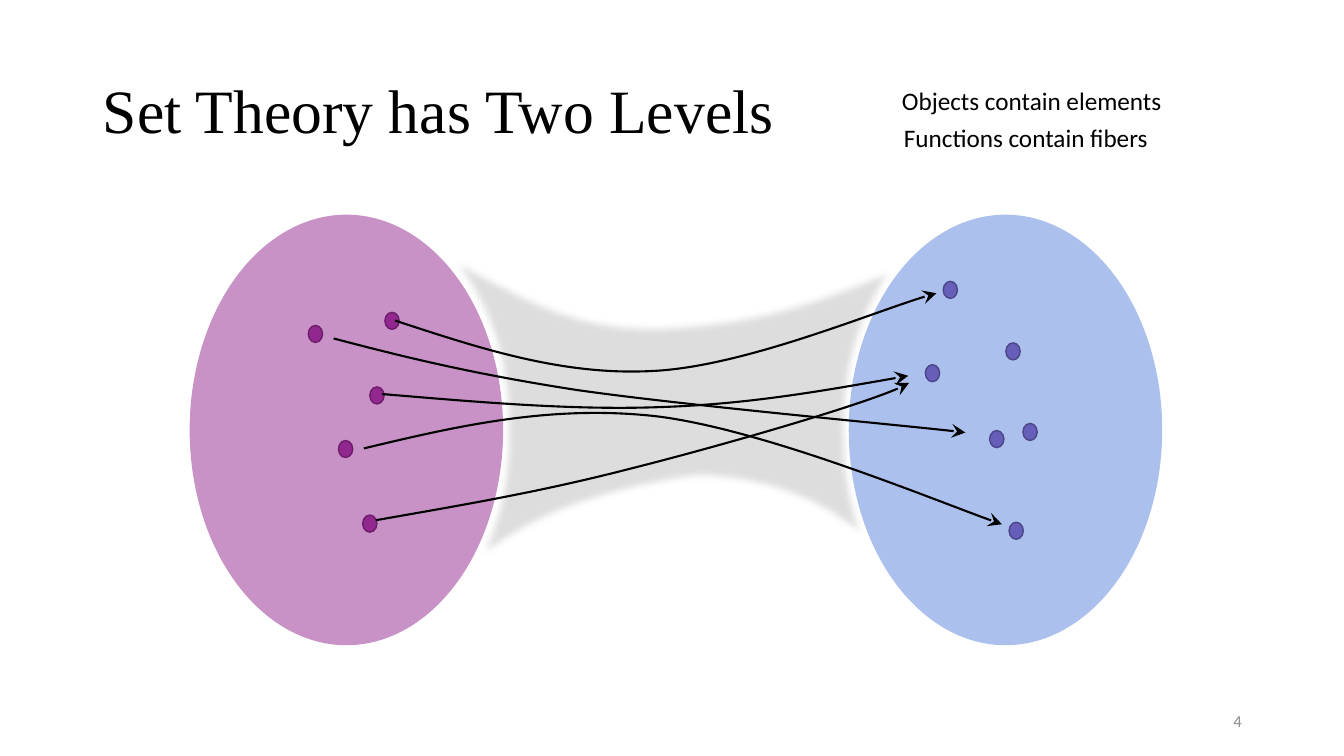
from dataclasses import dataclass
from typing import NamedTuple, Optional

from lxml import etree
from pptx import Presentation
from pptx import util as u
from pptx.dml.color import RGBColor
from pptx.enum import shapes, text
from pptx.oxml.ns import qn


@dataclass(frozen=True)
class Theme:
    domain: str = "92278F"
    domain_edge: str = "6C1D6A"
    codomain: str = "5982DB"
    element: str = "665EB8"
    element_edge: str = "4B4688"
    band: str = "BFBFBF"
    ink: str = "000000"
    muted: str = "8C8C8C"
    title_font: str = "Times New Roman"
    body_font: str = "Calibri"
    title_size: int = 44
    body_size: int = 18
    number_size: int = 12
    half_opaque: int = 50000


THEME = Theme()
CURVE_STEPS = 20
Point = tuple[float, float]
Segment = tuple[Point, ...]


class SetOval(NamedTuple):
    left: float
    fill: str


class Elements(NamedTuple):
    fill: str
    edge: str
    corners: list[Point]


class Curve(NamedTuple):
    start: Point
    segments: list[Segment]


class Label(NamedTuple):
    content: str
    left: float
    top: float
    width: float
    size: int
    color: str
    align: text.PP_ALIGN = text.PP_ALIGN.LEFT
    anchor: text.MSO_ANCHOR = text.MSO_ANCHOR.TOP


OVALS = [SetOval(4.78, THEME.domain), SetOval(21.39, THEME.codomain)]

ELEMENTS = [
    Elements(THEME.domain, THEME.domain_edge, [
        (9.32, 9.75), (8.53, 11.1), (9.7, 7.87), (7.77, 8.2), (9.14, 12.98)]),
    Elements(THEME.element, THEME.element_edge, [
        (25.35, 8.64), (25.78, 10.67), (24.94, 10.85),
        (25.43, 13.16), (23.77, 7.09), (23.32, 9.19)]),
]

BAND = Curve((10.44, 5.97), [
    ((10.67, 6.05),),
    ((12.52, 6.76), (14, 8.15), (16.54, 8.13)),
    ((19.46, 8), (21.23, 7.14), (23.14, 6.35)),
    ((22.83, 6.65),),
    ((21.95, 7.65), (21.39, 9.17), (21.39, 10.85)),
    ((21.39, 11.96), (21.64, 13), (22.07, 13.87)),
    ((22.28, 14.25),),
    ((21.29, 13.28), (20.07, 12.27), (17.63, 12.12)),
    ((14.35, 12.62), (13.08, 13.49), (11.96, 14.35)),
    ((11.48, 14.73),),
    ((11.51, 14.68),),
    ((12.22, 13.69), (12.67, 12.34), (12.67, 10.85)),
    ((12.67, 8.79), (11.84, 6.99), (10.59, 6.07)),
])

ARROWS = [
    Curve((9.96, 8.08), [((12.04, 8.76), (14.15, 9.47), (16.43, 9.35)),
                         ((18.69, 9.25), (22.4, 7.7), (23.6, 7.39))]),
    Curve((8.41, 8.53), [((10.16, 8.99), (11.89, 9.42), (14.55, 9.83)),
                         ((17.2, 10.21), (23.34, 10.77), (24.33, 10.9))]),
    Curve((9.47, 13.11), [((11.51, 12.75), (13.51, 12.42), (15.77, 11.84)),
                          ((18.01, 11.28), (22.35, 10.03), (22.91, 9.65))]),
    Curve((9.17, 11.3), [((11.51, 10.74), (13.87, 10.19), (16.54, 10.49)),
                         ((19.23, 10.82), (23.85, 12.73), (25.25, 13.21))]),
    Curve((9.63, 9.93), [((12.01, 10.13), (14.4, 10.34), (16.61, 10.26)),
                         ((18.82, 10.19), (20.85, 9.83), (22.89, 9.47))]),
]

LABELS = [
    Label("4", 23.93, 17.65, 7.62, THEME.number_size, THEME.muted,
          text.PP_ALIGN.RIGHT, text.MSO_ANCHOR.MIDDLE),
    Label("Functions contain fibers", 22.53, 2.97, 7.9, THEME.body_size, THEME.ink),
    Label("Objects contain elements", 22.48, 2.03, 9.45, THEME.body_size, THEME.ink),
]


def paint(shape, fill: str, edge: Optional[str] = None, alpha: Optional[int] = None) -> None:
    shape.shadow.inherit = False
    shape.fill.solid()
    shape.fill.fore_color.rgb = RGBColor.from_string(fill)
    if alpha is not None:
        color = shape.element.spPr.find(qn("a:solidFill")).find(qn("a:srgbClr"))
        etree.SubElement(color, qn("a:alpha"), val=str(alpha))
    if edge is None:
        shape.line.fill.background()
    else:
        shape.line.color.rgb = RGBColor.from_string(edge)
        shape.line.width = u.Pt(1)


def add_oval(page, left: float, top: float, width: float, height: float):
    return page.shapes.add_shape(
        shapes.MSO_SHAPE.OVAL, u.Cm(left), u.Cm(top), u.Cm(width), u.Cm(height))


def trace(curve: Curve) -> list[Point]:
    points = [curve.start]
    for segment in curve.segments:
        if len(segment) == 1:
            points.append(segment[0])
            continue
        controls = (points[-1], *segment)
        for step in range(1, CURVE_STEPS + 1):
            t = step / CURVE_STEPS
            weights = ((1 - t) ** 3, 3 * t * (1 - t) ** 2, 3 * t * t * (1 - t), t ** 3)
            points.append((sum(w * x for w, (x, _) in zip(weights, controls)),
                           sum(w * y for w, (_, y) in zip(weights, controls))))
    return points


def add_curve(page, curve: Curve, close: bool):
    start, *rest = [(u.Cm(x), u.Cm(y)) for x, y in trace(curve)]
    builder = page.shapes.build_freeform(*start)
    builder.add_line_segments(rest, close=close)
    shape = builder.convert_to_shape()
    outline = next(shape.element.iter(qn("a:path")))
    for child in list(outline):
        outline.remove(child)
    for index, segment in enumerate([(curve.start,), *curve.segments]):
        tag = "a:cubicBezTo" if len(segment) == 3 else "a:lnTo" if index else "a:moveTo"
        command = etree.SubElement(outline, qn(tag))
        for x, y in segment:
            etree.SubElement(command, qn("a:pt"),
                             x=str(u.Cm(x) - shape.left), y=str(u.Cm(y) - shape.top))
    if close:
        etree.SubElement(outline, qn("a:close"))
    return shape


def add_band(page) -> None:
    band = add_curve(page, BAND, close=True)
    paint(band, THEME.band, alpha=THEME.half_opaque)
    effects = band.element.spPr.find(qn("a:effectLst"))
    etree.SubElement(effects, qn("a:softEdge"), rad=str(u.Pt(5)))


def add_arrow(page, curve: Curve) -> None:
    arrow = add_curve(page, curve, close=False)
    arrow.shadow.inherit = False
    arrow.fill.background()
    arrow.line.color.rgb = RGBColor.from_string(THEME.ink)
    arrow.line.width = u.Pt(1.5)
    etree.SubElement(arrow.element.spPr.find(qn("a:ln")), qn("a:tailEnd"),
                     type="stealth", w="lg", len="lg")


def format_text(para, font: str, size: int, color: str, align: text.PP_ALIGN) -> None:
    para.alignment = align
    for span in para.runs:
        span.font.name = font
        span.font.size = u.Pt(size)
        span.font.color.rgb = RGBColor.from_string(color)


def add_label(page, label: Label) -> None:
    box = page.shapes.add_textbox(
        u.Cm(label.left), u.Cm(label.top), u.Cm(label.width), u.Cm(1.02))
    frame = box.text_frame
    frame.word_wrap = True
    frame.vertical_anchor = label.anchor
    frame.text = label.content
    format_text(frame.paragraphs[0], THEME.body_font, label.size, label.color, label.align)


def set_title(page, content: str) -> None:
    title = page.shapes.title
    title.left, title.top = u.Cm(2.34), u.Cm(1.02)
    title.width, title.height = u.Cm(17.63), u.Cm(3.68)
    frame = title.text_frame
    frame.text = content
    frame.auto_size = text.MSO_AUTO_SIZE.NONE
    frame.vertical_anchor = text.MSO_ANCHOR.MIDDLE
    para = frame.paragraphs[0]
    para.line_spacing = 0.9
    format_text(para, THEME.title_font, THEME.title_size, THEME.ink, text.PP_ALIGN.LEFT)


def main() -> None:
    deck = Presentation()
    deck.slide_width, deck.slide_height = u.Cm(33.87), u.Cm(19.05)
    page = deck.slides.add_slide(deck.slide_layouts.get_by_name("Title Only"))
    set_title(page, "Set Theory has Two Levels")
    for oval in OVALS:
        paint(add_oval(page, oval.left, 5.41, 7.9, 10.85), oval.fill, alpha=THEME.half_opaque)
    add_band(page)
    for group in ELEMENTS:
        for left, top in group.corners:
            paint(add_oval(page, left, top, 0.36, 0.43), group.fill, group.edge)
    for curve in ARROWS:
        add_arrow(page, curve)
    for label in LABELS:
        add_label(page, label)
    deck.save("out.pptx")


if __name__ == "__main__":
    main()
